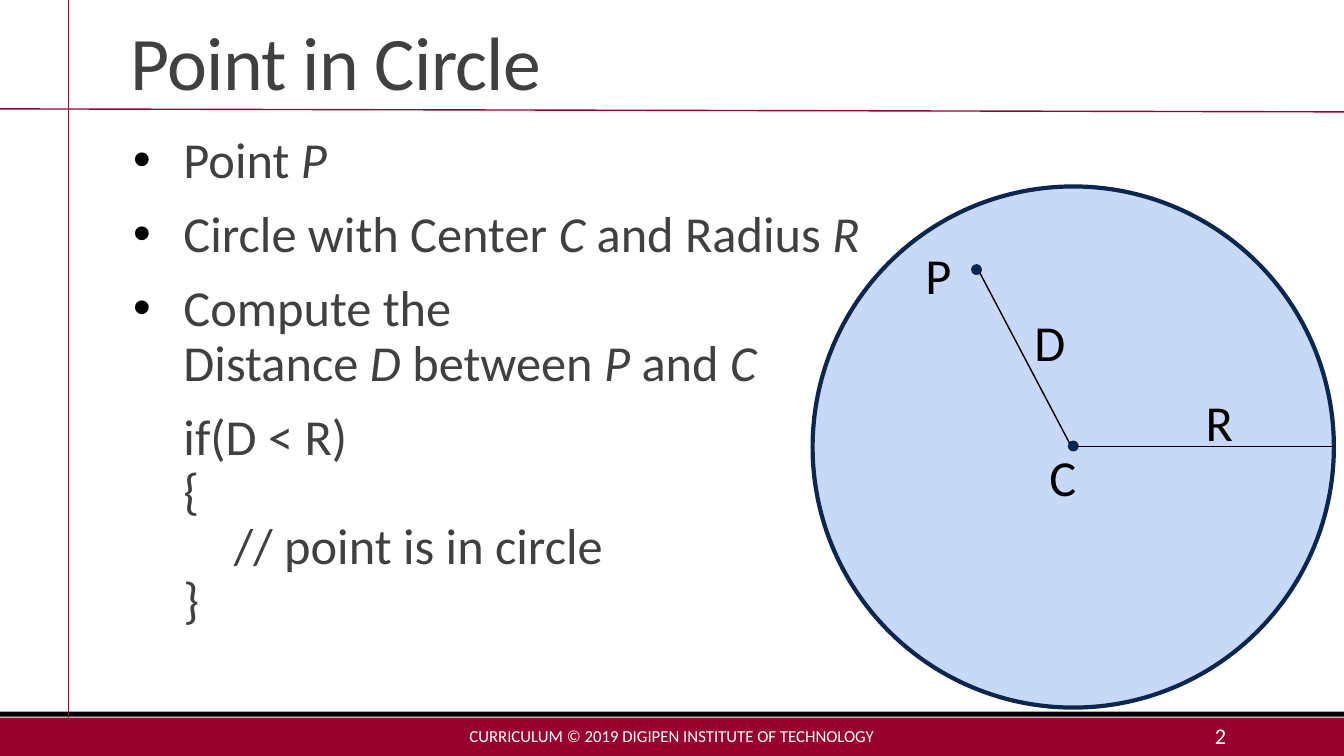
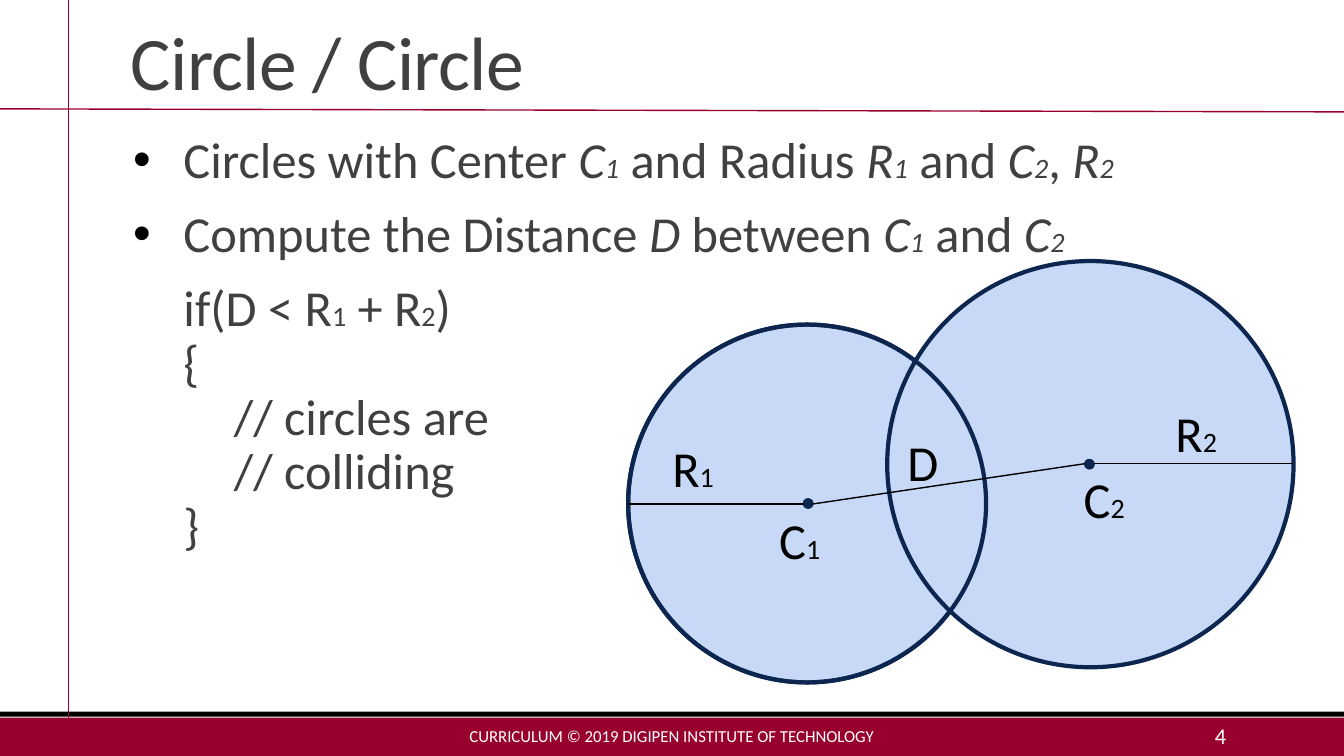
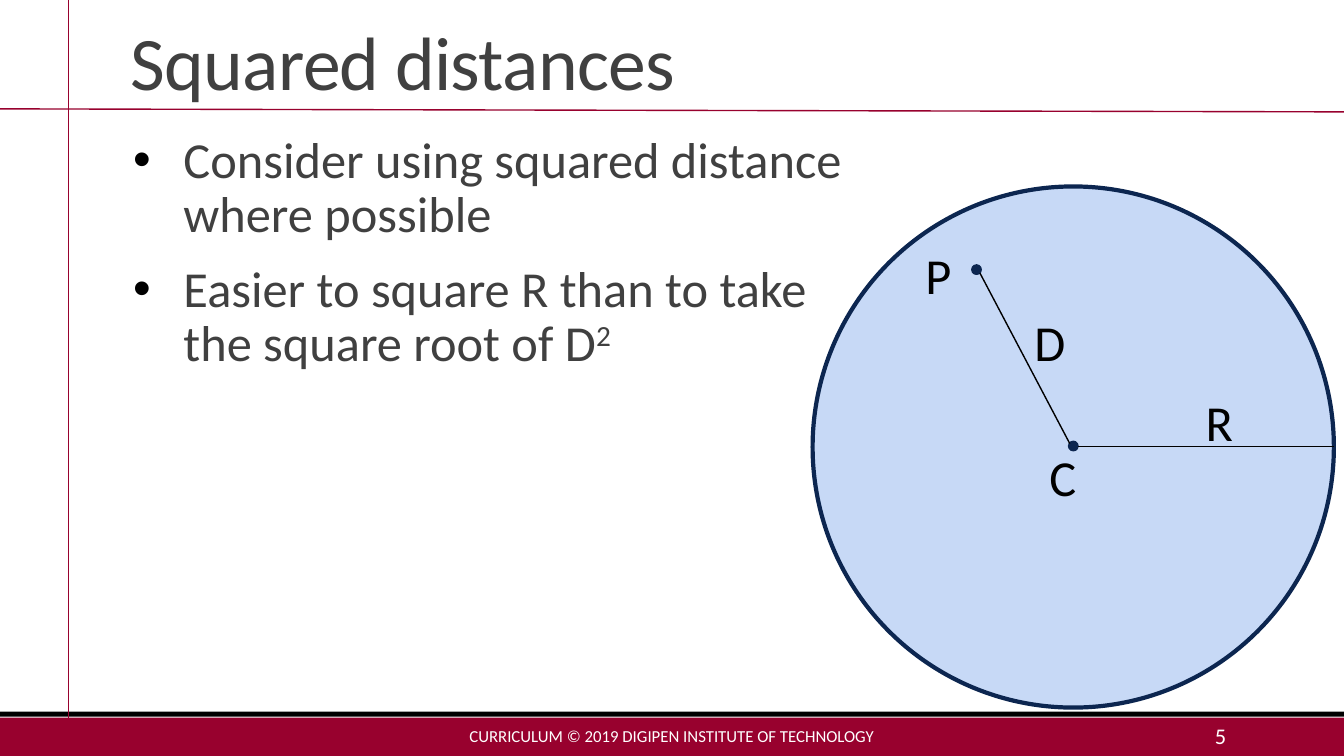
from itertools import groupby
from lxml.etree import SubElement
from pptx import Presentation
from pptx.dml.color import RGBColor
from pptx.enum.shapes import MSO_CONNECTOR as Link, MSO_SHAPE as Shape
from pptx.enum.text import MSO_ANCHOR as Anchor, MSO_AUTO_SIZE as Fit, PP_ALIGN as Align
from pptx.oxml.ns import qn
from pptx.util import Emu, Pt

PX = 9144
WIDE, HIGH = 1333, 750
FONT = "Calibri"
WINE, BLACK, WHITE = "98012E", "000000", "FFFFFF"
GREY, NAVY, SKY = "404040", "0C2650", "C7D9F6"
FOOT = "CURRICULUM © 2019 DIGIPEN INSTITUTE OF TECHNOLOGY"
DOT = 9


def px(*vals):
    """Turn lengths in px into EMU."""
    return [Emu(round(v * PX)) for v in vals]


def hue(code):
    """Turn a hex string into a colour."""
    return RGBColor.from_string(code)


def shape(slide, kind, box, fill=None, line=None, width=1):
    """Draw a preset shape, with no fill or line unless given."""
    item = slide.shapes.add_shape(kind, *px(*box))
    item.shadow.inherit = False
    if fill:
        item.fill.solid()
        item.fill.fore_color.rgb = hue(fill)
    else:
        item.fill.background()
    if line:
        item.line.color.rgb = hue(line)
        item.line.width = Pt(width)
    else:
        item.line.fill.background()


def rule(slide, start, end, color=BLACK):
    """Draw a thin straight line."""
    item = slide.shapes.add_connector(Link.STRAIGHT, *px(*start, *end))
    item.line.color.rgb = hue(color)
    item.line.width = Pt(1)
    SubElement(item._element.spPr, qn("a:effectLst"))


def marks(text):
    """Yield each letter with its style: *slanted*, _ small, ^ raised."""
    slant, mode = False, ""
    for char in text:
        if char == "*":
            slant = not slant
        elif char in "_^":
            mode = char
        else:
            yield char, (char == "\n", slant, mode)
            mode = ""


def fill_para(para, text, size, color, track):
    """Write marked text into a paragraph."""
    for (brk, slant, mode), group in groupby(marks(text), key=lambda m: m[1]):
        if brk:
            para.add_line_break()
            continue
        run = para.add_run()
        run.text = "".join(char for char, _ in group)
        font = run.font
        font.name, font.italic = FONT, slant
        font.size = Pt(20 if mode == "_" else size)
        font.color.rgb = hue(color)
        if mode == "^":
            run._r.get_or_add_rPr().set("baseline", "30000")
        if track:
            run._r.get_or_add_rPr().set("spc", str(track))


def indent(para, left, hang, dot):
    """Set the indent of a paragraph and its bullet."""
    props = para._p.get_or_add_pPr()
    props.set("marL", str(left * PX))
    props.set("indent", str(hang * PX))
    if dot:
        tint = SubElement(props, qn("a:buClr"))
        SubElement(tint, qn("a:srgbClr"), val=BLACK)
        SubElement(props, qn("a:buFont"), typeface="Arial")
        SubElement(props, qn("a:buChar"), char="•")


def write(slide, box, *texts, size=36, color=BLACK, align=Align.LEFT,
          anchor=Anchor.TOP, wrap=True, inset=10, space=None, track=0, items=False):
    """Place a text box with one paragraph for each text."""
    frame = slide.shapes.add_textbox(*px(*box)).text_frame
    frame.word_wrap = wrap
    frame.auto_size = Fit.NONE if wrap else Fit.SHAPE_TO_FIT_TEXT
    frame.vertical_anchor = anchor
    frame.margin_left, frame.margin_right = px(inset, inset)
    for num, text in enumerate(texts):
        para = frame.add_paragraph() if num else frame.paragraphs[0]
        para.alignment = align
        if space:
            para.line_spacing = space
        if items:
            para.space_before, para.space_after = Pt(12 if num else 0), Pt(2)
            code = text.startswith("\t")
            indent(para, *((12, 0, False) if code else (62, -50, True)))
        fill_para(para, text, size, color, track)


def base(deck, title, num, *texts):
    """Add a slide with bands, rules, title, footer and body."""
    slide = deck.slides.add_slide(deck.slide_layouts[6])
    shape(slide, Shape.RECTANGLE, (0, 712, WIDE, 38), WINE)
    shape(slide, Shape.RECTANGLE, (0, 706, WIDE, 5), BLACK)
    rule(slide, (68, 0), (68, 712), WINE)
    rule(slide, (0, 108), (WIDE, 111), WINE)
    write(slide, (120, 16, 1100, 94), title, size=54, color=GREY,
          anchor=Anchor.BOTTOM, space=0.85, track=-50)
    write(slide, (403, 710, 527, 40), FOOT, size=12, color=WHITE,
          align=Align.CENTER, anchor=Anchor.MIDDLE)
    write(slide, (1083, 710, 143, 40), str(num), size=16, color=WHITE,
          align=Align.RIGHT, anchor=Anchor.MIDDLE)
    write(slide, (120, 129, 1100, 564), *texts, color=GREY, inset=0,
          space=0.9, items=True)
    return slide


def ring(slide, left, top, size, fill=SKY):
    """Draw a large circle."""
    shape(slide, Shape.OVAL, (left, top, size, size), fill, NAVY, 3)


def parts(slide, left, top, dots, lines, labels):
    """Draw dots, lines and labels, measured from one corner."""
    for x, y in dots:
        shape(slide, Shape.OVAL, (left + x, top + y, DOT, DOT), NAVY, NAVY, 1.25)
    for x, y, to_x, to_y in lines:
        rule(slide, (left + x, top + y), (left + to_x, top + to_y))
    for text, x, y, width in labels:
        write(slide, (left + x, top + y, width, 71), text, wrap=False)


def inside(slide, left, top, size):
    """Draw a circle that holds a point."""
    ring(slide, left, top, size)
    parts(slide, left, top,
          dots=[(254, 253), (158, 78)],
          lines=[(size, 258, 263, 258), (166, 86, 255, 255)],
          labels=[("D", 210, 119, 51), ("C", 225, 253, 47),
                  ("P", 102, 52, 46), ("R", 380, 198, 48)])


def overlap(slide, left, top):
    """Draw two circles that meet."""
    ring(slide, left, top + 63, 355)
    ring(slide, left + 257, top, 403)
    ring(slide, left, top + 63, 355, None)
    parts(slide, left, top,
          dots=[(453, 197), (174, 236)],
          lines=[(659, 201, 462, 201), (174, 241, 0, 241), (183, 241, 453, 201)],
          labels=[("C_2", 442, 200, 61), ("R_2", 533, 135, 62), ("D", 267, 164, 51),
                  ("C_1", 140, 241, 61), ("R_1", 34, 170, 62)])


def main():
    """Build the deck and save it."""
    deck = Presentation()
    deck.slide_width, deck.slide_height = px(WIDE, HIGH)
    disc = (806, 185, 517)
    slide = base(deck, "Point in Circle", 2,
                 "Point *P*",
                 "Circle with Center *C* and Radius *R*",
                 "Compute the\nDistance *D* between *P* and *C*",
                 "\tif(D < R)\n\t{\n\t\t// point is in circle\n\t}")
    inside(slide, *disc)
    slide = base(deck, "Circle / Circle", 4,
                 "Circles with Center *C_1* and Radius *R_1* and *C_2*,* R_2*",
                 "Compute the Distance *D* between *C_1* and *C_2*",
                 "\tif(D < R_1 + R_2)\n\t{\n\t\t// circles are\n\t\t// colliding\n\t}")
    overlap(slide, 623, 259)
    slide = base(deck, "Squared distances", 5,
                 "Consider using squared distance\nwhere possible",
                 "Easier to square R than to take\nthe square root of D^2")
    inside(slide, *disc)
    deck.save("out.pptx")


if __name__ == "__main__":
    main()
